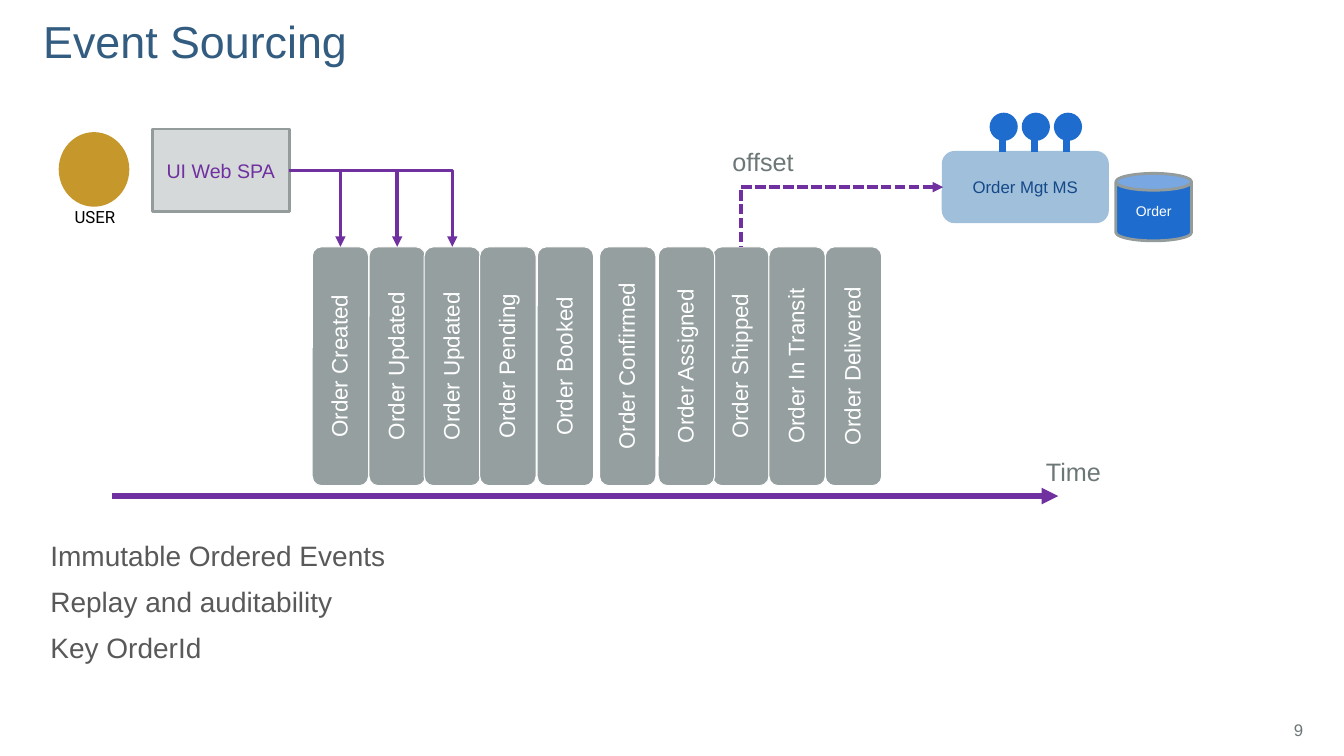
from lxml import etree
from pptx import Presentation
from pptx.dml.color import RGBColor
from pptx.enum.dml import MSO_LINE
from pptx.enum.shapes import MSO_CONNECTOR as Link, MSO_SHAPE as Shape
from pptx.enum.text import MSO_ANCHOR as Anchor, PP_ALIGN as Align
from pptx.oxml.ns import qn
from pptx.util import Cm, Pt

COLORS = {
    "title": "325C80", "body": "595959", "label": "6D7777", "white": "FFFFFF",
    "black": "000000", "event": "959F9F", "purple": "7030A0", "service": "A0BFDA",
    "service_text": "144989", "blue": "1E6DCE", "border": "949B9B",
    "ui": "D5D9D9", "user": "C6982C",
}
POINTS = ["Immutable Ordered Events", "Replay and auditability", "Key OrderId"]
EVENTS = [
    ("Order Created", 7.87), ("Order Updated", 9.3), ("Order Updated", 10.69),
    ("Order Pending", 12.09), ("Order Booked", 13.54), ("Order Confirmed", 15.11),
    ("Order Shipped", 17.96), ("Order In Transit", 19.38),
    ("Order Delivered", 20.8), ("Order Assigned", 16.59),
]
EVENT_TOP, EVENT_W, EVENT_H = 6.22, 1.42, 6.02
UI_RIGHT, UI_MIDDLE = 7.28, 4.3
SERVICE_LEFT, SERVICE_TOP, SERVICE_H = 23.77, 3.84, 1.75
PIN_LEFT, PIN_STEP, PIN_TOP, PIN_SIZE, PIN_COUNT = 24.94, 0.81, 2.84, 0.71, 3


def rgb(name):
    return RGBColor.from_string(COLORS[name])


def write(s, lines, size, color, align=Align.LEFT, anchor=Anchor.TOP, margins=None,
          wrap=True, font="Arial", spacing=None, before=0):
    tf = s.text_frame
    tf.word_wrap = wrap
    tf.vertical_anchor = anchor
    if margins:
        tf.margin_left, tf.margin_top, tf.margin_right, tf.margin_bottom = map(Cm, margins)
    for i, line in enumerate(lines):
        p = tf.add_paragraph() if i else tf.paragraphs[0]
        p.text = line
        p.alignment = align
        p.font.size, p.font.name = Pt(size), font
        p.font.color.rgb = rgb(color)
        if spacing:
            p.line_spacing = spacing
        if i and before:
            p.space_before = Pt(before)


def add_text(box, lines, size, color, **style):
    write(slide.shapes.add_textbox(*map(Cm, box)), lines, size, color, **style)


def add_box(kind, box, fill, border=None, width=2):
    s = slide.shapes.add_shape(kind, *map(Cm, box))
    s.shadow.inherit = False
    s.fill.solid()
    s.fill.fore_color.rgb = rgb(fill)
    if border:
        s.line.color.rgb = rgb(border)
        s.line.width = Pt(width)
    else:
        s.line.fill.background()
    return s


def add_label(s, text, size, color, **style):
    write(s, [text], size, color, align=Align.CENTER, anchor=Anchor.MIDDLE, **style)


def add_line(start, end, color, width, arrow=None, elbow=False, dash=None):
    kind = Link.ELBOW if elbow else Link.STRAIGHT
    s = slide.shapes.add_connector(kind, *map(Cm, start + end))
    s.line.color.rgb = rgb(color)
    s.line.width = Pt(width)
    if dash:
        s.line.dash_style = dash
    props = s._element.spPr
    if elbow:
        props.find(qn("a:prstGeom")).set("prst", "bentConnector2")
    if arrow:
        etree.SubElement(props.find(qn("a:ln")), qn(arrow)).set("type", "triangle")
    etree.SubElement(props, qn("a:effectLst"))


prs = Presentation()
prs.slide_width, prs.slide_height = Cm(33.87), Cm(19.05)
slide = prs.slides.add_slide(prs.slide_layouts[6])

add_text((1.09, 0.18, 30.25, 1.52), ["Event Sourcing"], 32, "title",
         anchor=Anchor.BOTTOM, margins=(0, 0.13, 0.25, 0), spacing=0.85)
add_text((1.27, 13.44, 18.54, 3.15), POINTS, 20, "body",
         margins=(0, 0.13, 0.25, 0.13), before=9)
add_text((31.62, 17.88, 1.47, 1.02), ["9"], 12, "label",
         align=Align.RIGHT, anchor=Anchor.MIDDLE)

for name, left in EVENTS:
    s = add_box(Shape.ROUNDED_RECTANGLE, (left, EVENT_TOP, EVENT_W, EVENT_H),
                "event", "white", 0.75)
    add_label(s, name, 16, "white", margins=(0, 0, 0, 0), spacing=0.9)
    s.text_frame._txBody.bodyPr.set("vert", "vert270")

add_line((2.82, 12.5), (26.67, 12.5), "purple", 4, "a:tailEnd")
add_text((26.11, 11.38, 1.91, 1.02), ["Time"], 18, "label", wrap=False)

s = add_box(Shape.ROUNDED_RECTANGLE, (SERVICE_LEFT, SERVICE_TOP, 4.14, SERVICE_H),
            "service", "service")
add_label(s, "Order Mgt MS", 12, "service_text")
for i in range(PIN_COUNT):
    left = PIN_LEFT + i * PIN_STEP
    add_box(Shape.OVAL, (left, PIN_TOP, PIN_SIZE, PIN_SIZE), "blue")
    stem = left + 0.32
    add_line((stem, 3.51), (stem, SERVICE_TOP), "blue", 5)
s = add_box(Shape.CAN, (28.12, 4.37, 1.91, 1.7), "blue", "border")
add_label(s, "Order", 10, "white")

s = add_box(Shape.RECTANGLE, (3.84, 3.25, 3.45, 2.08), "ui", "border")
add_label(s, "UI Web SPA", 14, "purple")
add_box(Shape.OVAL, (1.48, 3.33, 1.78, 1.88), "user")
add_text((1.88, 5.21, 1.19, 0.51), ["USER"], 12, "black",
         margins=(0, 0, 0, 0), wrap=False, font="Roboto")

for name, left in EVENTS[:3]:
    add_line((UI_RIGHT, UI_MIDDLE), (left + EVENT_W / 2, EVENT_TOP),
             "purple", 2.5, "a:tailEnd", elbow=True)
shipped = dict(EVENTS)["Order Shipped"] + EVENT_W / 2
add_line((SERVICE_LEFT, SERVICE_TOP + SERVICE_H / 2), (shipped, EVENT_TOP),
         "purple", 2.5, "a:headEnd", elbow=True, dash=MSO_LINE.SQUARE_DOT)
add_text((18.21, 3.56, 2.06, 1.02), ["offset"], 18, "label", wrap=False)

prs.save("out.pptx")
